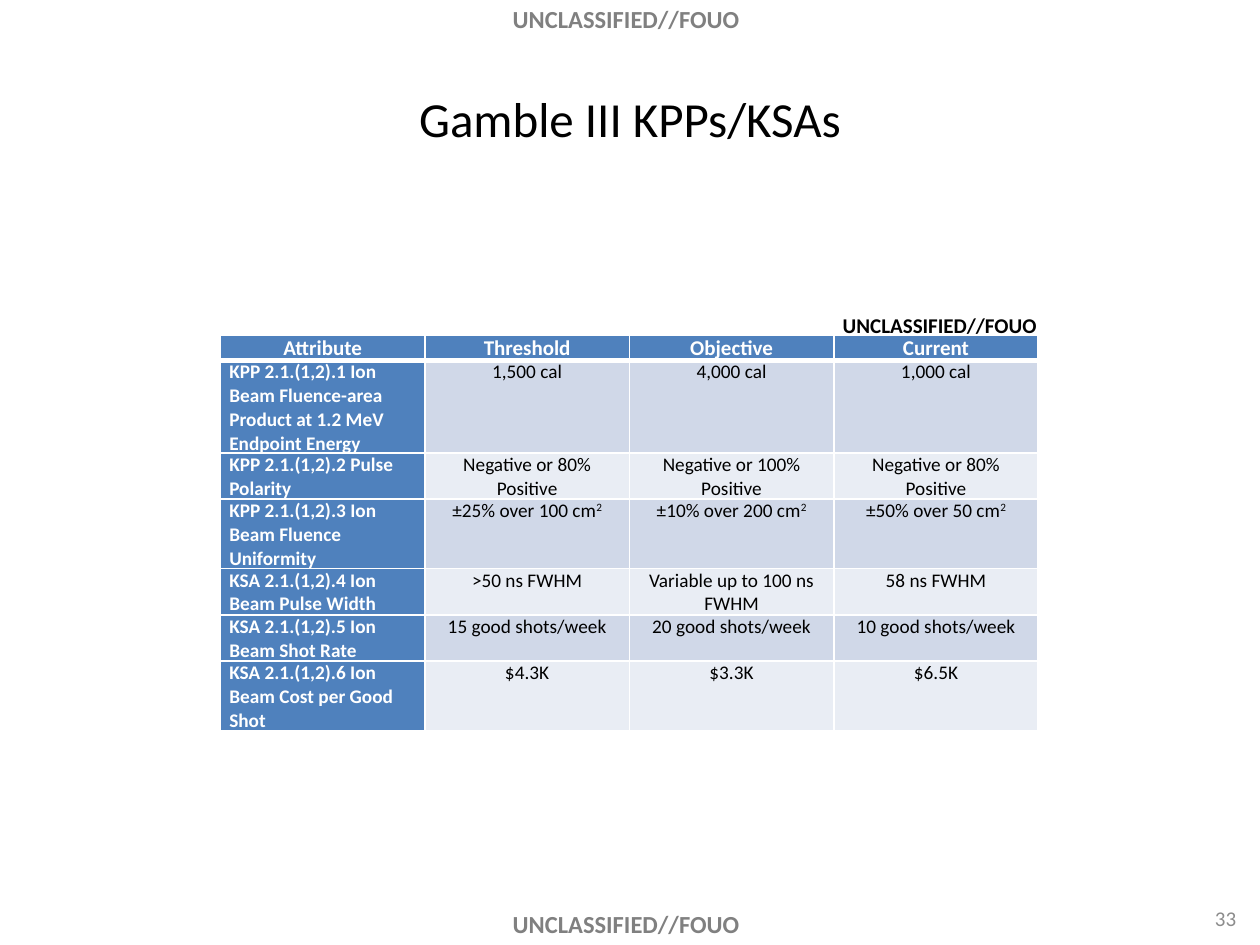
from collections import namedtuple

from lxml.etree import SubElement
from pptx import Presentation
from pptx.dml.color import RGBColor
from pptx.enum.text import MSO_ANCHOR, PP_ALIGN
from pptx.oxml.ns import qn
from pptx.util import Inches, Pt

Box = namedtuple("Box", "left top width height")

WIDTH, HEIGHT = 10, 7.5
FONT = "Calibri"
MARKING = "UNCLASSIFIED//FOUO"
COLORS = {
    "white": "FFFFFF",
    "black": "000000",
    "marking": "808080",
    "number": "8C8C8C",
    "header": "4F81BD",
    "odd": "D0D8E8",
    "even": "E9EDF4",
}
HEADINGS = ["Attribute", "Threshold", "Objective", "Current"]
ATTRIBUTES = [
    (4, "KPP 2.1.(1,2).1 Ion Beam Fluence-area Product at 1.2 MeV Endpoint Energy",
     "1,500 cal", "4,000 cal", "1,000 cal"),
    (2, "KPP 2.1.(1,2).2 Pulse Polarity",
     "Negative or 80% Positive", "Negative or 100% Positive", "Negative or 80% Positive"),
    (3, "KPP 2.1.(1,2).3 Ion Beam Fluence Uniformity",
     "±25% over 100 cm^2", "±10% over 200 cm^2", "±50% over 50 cm^2"),
    (2, "KSA 2.1.(1,2).4 Ion Beam Pulse Width",
     ">50 ns FWHM", "Variable up to 100 ns FWHM", "58 ns FWHM"),
    (2, "KSA 2.1.(1,2).5 Ion Beam Shot Rate",
     "15 good shots/week", "20 good shots/week", "10 good shots/week"),
    (3, "KSA 2.1.(1,2).6 Ion Beam Cost per Good Shot",
     "$4.3K", "$3.3K", "$6.5K"),
]
LINE_HEIGHT = 0.18


def color(name):
    return RGBColor.from_string(COLORS[name])


def share(left, top, width, height):
    return Box(left * WIDTH, top * HEIGHT, width * WIDTH, height * HEIGHT)


def emu(box):
    return [Inches(length) for length in box]


def write(frame, text, size=12, ink="black", bold=False, align=PP_ALIGN.LEFT,
          anchor=MSO_ANCHOR.TOP, wrap=True):
    frame.word_wrap = wrap
    frame.vertical_anchor = anchor
    para = frame.paragraphs[0]
    para.alignment = align
    for index, part in enumerate(text.split("^")):
        span = para.add_run()
        span.text = part
        span.font.name = FONT
        span.font.size = Pt(size)
        span.font.bold = bold
        span.font.color.rgb = color(ink)
        if index:
            span.font._element.set("baseline", "30000")


def add_text(page, box, text, fill=None, **style):
    shape = page.shapes.add_textbox(*emu(box))
    if fill:
        shape.fill.solid()
        shape.fill.fore_color.rgb = color(fill)
    write(shape.text_frame, text, **style)


def add_markings(page, box):
    band = share(0.32, 0, 0.36, 0.045)
    for top in (box.top - 0.02, box.top + box.height - band.height):
        add_text(page, band._replace(left=box.left + 3.17, top=top), MARKING, fill="white",
                 size=14, ink="marking", bold=True, align=PP_ALIGN.CENTER)


def add_title(page, box, text):
    title = page.shapes.title
    title.left, title.top, title.width, title.height = emu(box)
    write(title.text_frame, text, size=28, align=PP_ALIGN.CENTER, anchor=MSO_ANCHOR.MIDDLE)


def set_borders(cell, top=1, bottom=1):
    properties = cell._tc.get_or_add_tcPr()
    for side, width in (("L", 1), ("R", 1), ("T", top), ("B", bottom)):
        line = SubElement(properties, qn(f"a:ln{side}"), w=str(Pt(width)))
        SubElement(SubElement(line, qn("a:solidFill")), qn("a:srgbClr"), val=COLORS["white"])


def fill_cell(cell, text, fill, borders, **style):
    cell.margin_left = cell.margin_right = Inches(0.07)
    cell.margin_top = cell.margin_bottom = 0
    set_borders(cell, **borders)
    cell.fill.solid()
    cell.fill.fore_color.rgb = color(fill)
    frame = cell.text_frame
    write(frame, text, **style)


def add_attribute_table(page, box):
    rows = [(1, *HEADINGS), *ATTRIBUTES]
    table = page.shapes.add_table(len(rows), len(HEADINGS), *emu(box)).table
    table.first_row = table.horz_banding = False
    for column in table.columns:
        column.width = Inches(box.width / len(HEADINGS))
    for row, (lines, *texts) in enumerate(rows):
        table.rows[row].height = Inches(lines * LINE_HEIGHT)
        borders = {0: {"bottom": 3}, 1: {"top": 3}}.get(row, {})
        for column, text in enumerate(texts):
            heading = row == 0 or column == 0
            fill = "header" if heading else "odd" if row % 2 else "even"
            centred = row == 0 or column > 0
            fill_cell(table.cell(row, column), text, fill, borders,
                      size=11 if row else 12, bold=heading,
                      ink="white" if heading else "black",
                      align=PP_ALIGN.CENTER if centred else PP_ALIGN.LEFT)


def add_table_region(page, box):
    add_attribute_table(page, box)
    label = Box(box.left + box.width - 1.65, box.top - 0.23, 1.76, 0.3)
    add_text(page, label, MARKING, bold=True, wrap=False)


def build():
    deck = Presentation()
    deck.slide_width, deck.slide_height = Inches(WIDTH), Inches(HEIGHT)
    page = deck.slides.add_slide(deck.slide_layouts[5])
    add_markings(page, share(0, 0, 1, 1))
    add_title(page, share(0.05, 0.04, 0.9, 0.17), "Gamble III KPPs/KSAs")
    add_text(page, Box(7.58, 7.09, 2.33, 0.4), "33", ink="number",
             align=PP_ALIGN.RIGHT, anchor=MSO_ANCHOR.MIDDLE)
    add_table_region(page, Box(1.75, 2.66, 6.49, 3.13))
    deck.save("out.pptx")


if __name__ == "__main__":
    build()
